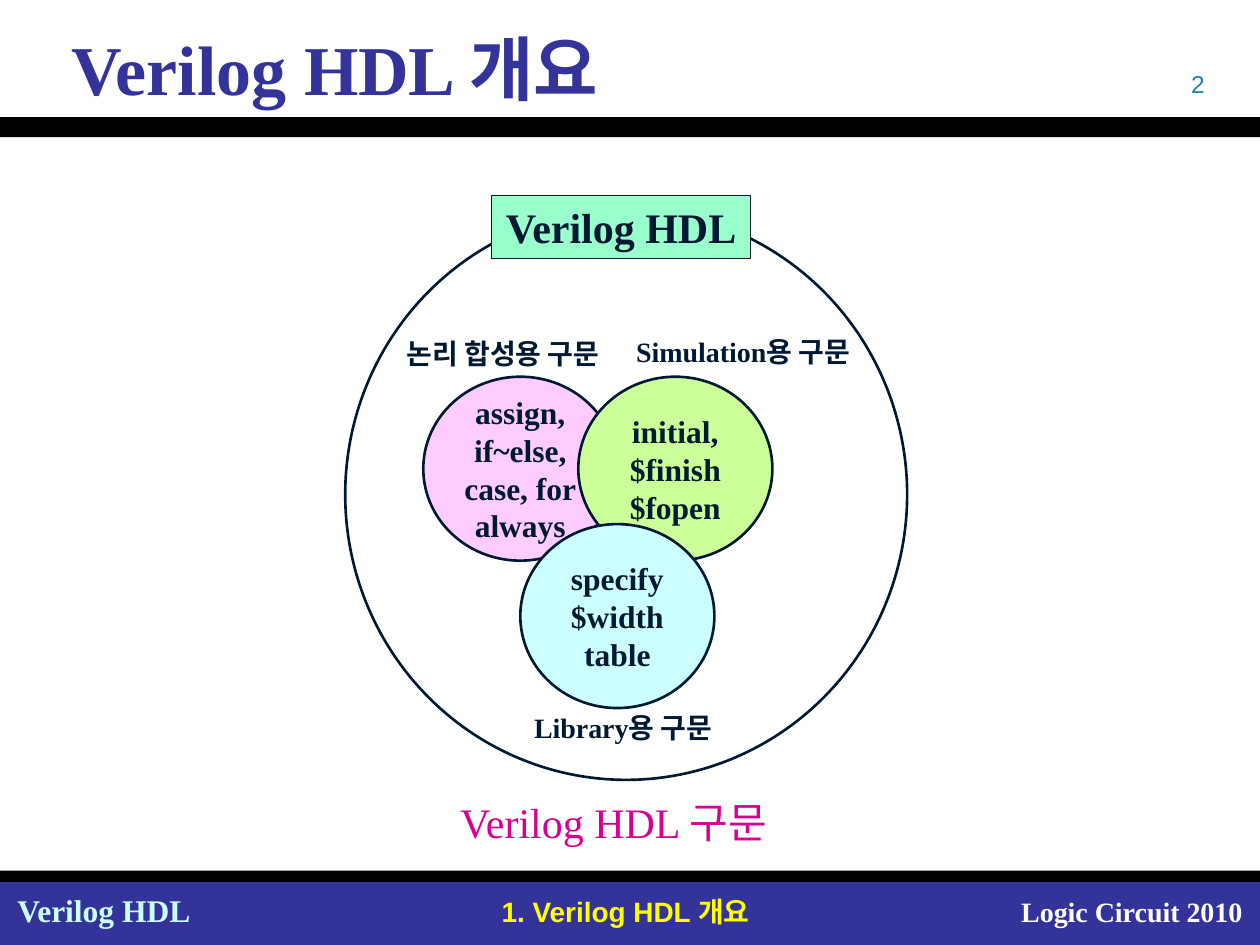
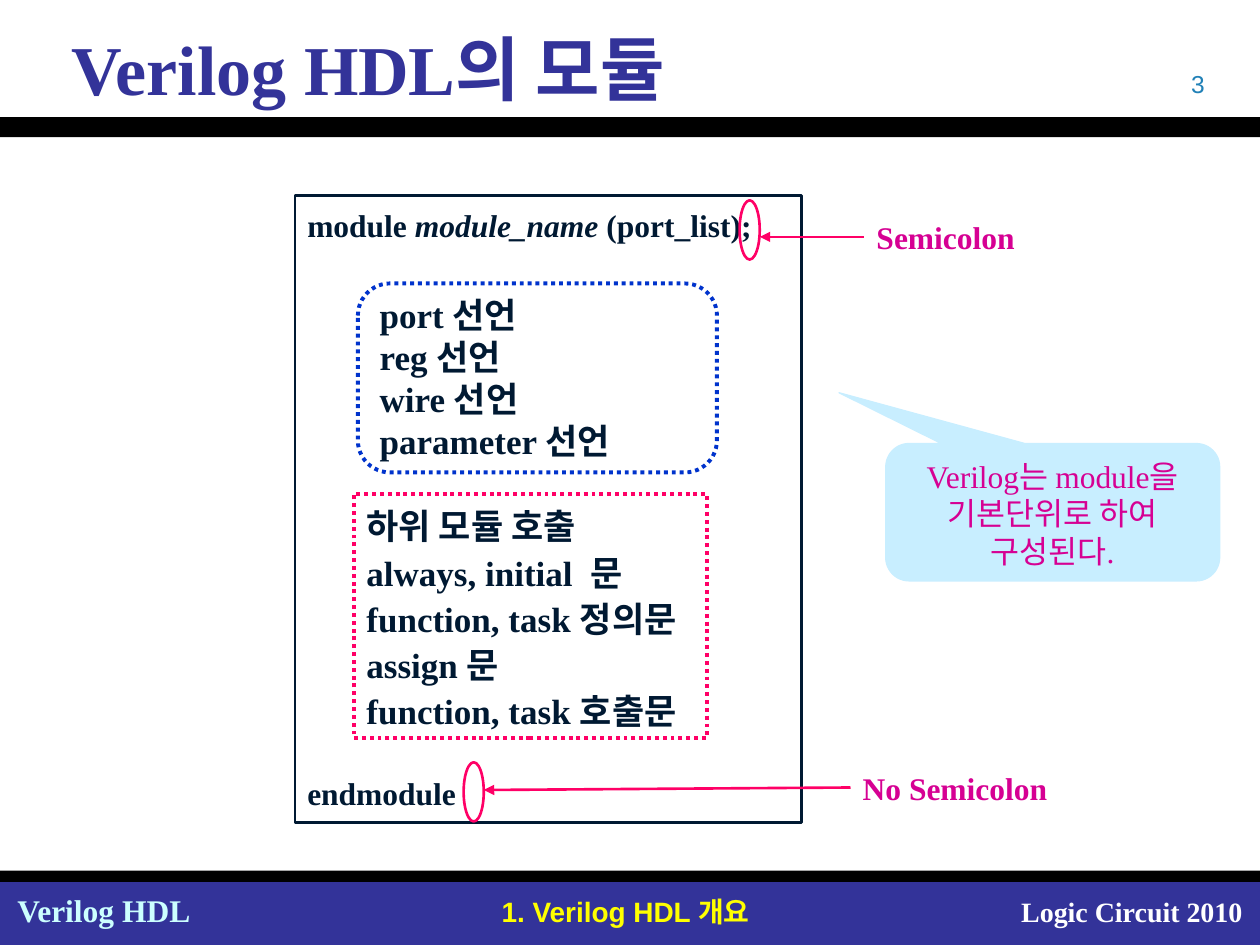
"""Build two slides that introduce the Verilog HDL language."""
from dataclasses import dataclass
from typing import Any, Optional

from lxml.etree import SubElement
from pptx import Presentation
from pptx.dml.color import RGBColor as RGB
from pptx.enum.dml import MSO_LINE
from pptx.enum.shapes import MSO_CONNECTOR, MSO_SHAPE as SHAPE
from pptx.enum.text import MSO_ANCHOR as ANCHOR, MSO_AUTO_SIZE as FIT, PP_ALIGN as ALIGN
from pptx.oxml.ns import qn
from pptx.util import Inches, Pt


@dataclass(frozen=True)
class Theme:
    """Hold the colours, fonts and type sizes."""
    serif: str = "Times New Roman"
    sans: str = "Arial"
    navy: str = "333399"
    ink: str = "001932"
    black: str = "000000"
    white: str = "FFFFFF"
    yellow: str = "FFFF00"
    ice: str = "CCFFFF"
    mint: str = "99FFCC"
    pink: str = "FFCCFF"
    lime: str = "CCFF99"
    sky: str = "C8EEFF"
    magenta: str = "D60093"
    rose: str = "FF0066"
    blue: str = "0033CC"
    number: str = "2181B7"
    title: int = 40
    heading: int = 24
    list: int = 20
    body: int = 18
    label: int = 16
    page: int = 14
    thin: float = 0.75
    medium: float = 1.5
    thick: float = 2.25


T = Theme()


@dataclass(frozen=True)
class Text:
    """Describe lines of text; a line is a string or (words, italic) runs."""
    lines: tuple
    size: int = T.body
    color: str = T.ink
    bold: bool = True
    font: str = T.serif
    align: Any = ALIGN.CENTER
    anchor: Any = ANCHOR.MIDDLE
    wrap: bool = False
    spacing: Optional[float] = None
    gap: float = 0
    inset: float = 0.1
    inset_right: float = 0.1


@dataclass(frozen=True)
class Box:
    """Describe a preset shape, or a text box when it has no kind."""
    at: tuple
    kind: Any = None
    fill: Optional[str] = None
    line: Optional[str] = None
    width: float = T.medium
    dotted: bool = False
    adj: tuple = ()
    text: Optional[Text] = None


@dataclass(frozen=True)
class Arrow:
    """Describe an arrow from a label's left side to a point."""
    tip: tuple
    label: Box


def assign(target: Any, values: dict) -> None:
    """Set attributes from a dict."""
    for name, value in values.items():
        setattr(target, name, value)


def write(tf: Any, text: Text) -> None:
    """Fill a text frame with formatted lines."""
    assign(tf, dict(word_wrap=text.wrap, auto_size=FIT.NONE,
                    vertical_anchor=text.anchor,
                    margin_left=Inches(text.inset),
                    margin_right=Inches(text.inset_right),
                    margin_top=Inches(0.05), margin_bottom=Inches(0.05)))
    for i, line in enumerate(text.lines):
        p = tf.add_paragraph() if i else tf.paragraphs[0]
        assign(p, dict(alignment=text.align, line_spacing=text.spacing))
        if i and text.gap:
            p.space_before = Pt(text.gap)
        for words, italic in [(line, False)] if isinstance(line, str) else line:
            r = p.add_run()
            r.text = words
            assign(r.font, dict(name=text.font, size=Pt(text.size),
                                bold=text.bold, italic=italic))
            r.font.color.rgb = RGB.from_string(text.color)


def draw(s: Any, box: Box) -> Any:
    """Draw a box on a slide."""
    at = [Inches(v) for v in box.at]
    if box.kind is None:
        sp = s.shapes.add_textbox(*at)
    else:
        sp = s.shapes.add_shape(box.kind, *at)
        sp.shadow.inherit = False
        for i, value in enumerate(box.adj):
            sp.adjustments[i] = value
        if box.fill:
            sp.fill.solid()
            sp.fill.fore_color.rgb = RGB.from_string(box.fill)
        else:
            sp.fill.background()
        if box.line:
            sp.line.color.rgb = RGB.from_string(box.line)
            sp.line.width = Pt(box.width)
            if box.dotted:
                sp.line.dash_style = MSO_LINE.ROUND_DOT
        else:
            sp.line.fill.background()
    if box.text:
        write(sp.text_frame, box.text)
    return sp


def draw_arrow(s: Any, arrow: Arrow) -> None:
    """Draw a label and the arrow that leaves it."""
    label = draw(s, arrow.label)
    x, y = (Inches(v) for v in arrow.tip)
    cx = s.shapes.add_connector(MSO_CONNECTOR.STRAIGHT, x, y, label.left, y)
    cx.end_connect(label, 1)
    cx.line.color.rgb = RGB.from_string(T.rose)
    cx.line.width = Pt(T.medium)
    SubElement(cx.line._get_or_add_ln(), qn("a:headEnd"), type="triangle")
    SubElement(cx.element.spPr, qn("a:effectLst"))


def note(at: tuple, words: str, **style: Any) -> Box:
    """Describe a one-line text box."""
    return Box(at, text=Text((words,), **style))


FRAME = (
    Box((0, 7, 10, 0.5), SHAPE.RECTANGLE, T.navy),
    note((7.97, 7.05, 1.99, 0.37), "Logic Circuit 2010", size=T.label,
         color=T.white, align=ALIGN.RIGHT, wrap=True),
    note((3.27, 7.05, 3.39, 0.37), "1. Verilog HDL 개요", size=T.label,
         color=T.yellow, font=T.sans, wrap=True),
    Box((0, 0.93, 10, 0.16), SHAPE.RECTANGLE, T.black),
    Box((0, 6.91, 10, 0.09), SHAPE.RECTANGLE, T.black),
    note((0.04, 7.02, 1.58, 0.4), "Verilog HDL", color=T.ice,
         align=ALIGN.LEFT, wrap=True, inset_right=0.02),
)


def add_frame(s: Any) -> None:
    """Place the shared bands and footers on the slide's layout."""
    for number, box in enumerate(FRAME, 100):
        element = draw(s, box).element
        element.nvSpPr.cNvPr.set("id", str(number))
        s.slide_layout.shapes.element.append(element)


def add_slide(prs: Any, title: str, number: int) -> Any:
    """Add a slide with its title and number."""
    s = prs.slides.add_slide(prs.slide_layouts[5])
    assign(s.shapes.title, dict(left=Inches(0.17), top=Inches(0.21),
                                width=Inches(9.67), height=Inches(0.65)))
    write(s.shapes.title.text_frame,
          Text((title,), size=T.title, color=T.navy, align=ALIGN.LEFT,
               wrap=True, inset=0.4))
    draw(s, note((7.33, 0.5, 2.33, 0.33), str(number), size=T.page,
                 color=T.number, bold=False, font=T.sans, align=ALIGN.RIGHT,
                 anchor=ANCHOR.TOP, wrap=True))
    return s


def syntax_circle(left: float, top: float, fill: str, *lines: str) -> Box:
    """Describe one of the overlapping syntax circles."""
    return Box((left, top, 1.54, 1.46), SHAPE.OVAL, fill, T.ink, text=Text(lines))


OVERVIEW = (
    Box((2.74, 1.66, 4.46, 4.53), SHAPE.OVAL, line=T.ink),
    Box((3.9, 1.55, 2.06, 0.5), SHAPE.RECTANGLE, T.mint, T.ink, T.thin,
        text=Text(("Verilog HDL",), size=T.heading)),
    syntax_circle(3.36, 2.99, T.pink, "assign,", "if~else,", "case, for", "always"),
    note((3.13, 2.62, 1.75, 0.37), "논리 합성용 구문", size=T.label, align=ALIGN.LEFT),
    syntax_circle(4.59, 2.99, T.lime, "initial,", "$finish", "$fopen"),
    syntax_circle(4.13, 4.16, T.ice, "specify", "$width", "table"),
    note((4.95, 2.6, 1.96, 0.37), "Simulation용 구문", size=T.label, align=ALIGN.LEFT),
    note((4.14, 5.59, 1.68, 0.37), "Library용 구문", size=T.label, align=ALIGN.LEFT),
    note((3.49, 6.27, 2.76, 0.5), "Verilog HDL 구문", size=T.heading,
         color=T.magenta, bold=False),
)

HEADER = (("module ", False), ("module_name", True), (" (port_list);", False))
MODULE = (
    Box((2.34, 1.55, 4.02, 4.98), SHAPE.RECTANGLE, line=T.ink,
        text=Text((HEADER, "endmodule"), align=ALIGN.LEFT, gap=303)),
    Box((2.81, 3.92, 2.8, 1.94), SHAPE.RECTANGLE, line=T.rose, width=T.thick,
        dotted=True,
        text=Text(("하위 모듈 호출", "always, initial  문", "function, task 정의문",
                   "assign 문", "function, task 호출문"),
                  size=T.list, align=ALIGN.LEFT, spacing=1.1)),
    Box((2.84, 2.25, 2.85, 1.5), SHAPE.ROUNDED_RECTANGLE, line=T.blue,
        width=T.thick, dotted=True, adj=(0.17,),
        text=Text(("port 선언", "reg 선언", "wire 선언", "parameter 선언"),
                  size=T.list, align=ALIGN.LEFT)),
    Box((5.87, 1.59, 0.16, 0.47), SHAPE.OVAL, line=T.rose),
    Box((3.68, 6.05, 0.16, 0.47), SHAPE.OVAL, line=T.rose),
    Box((7.03, 3.52, 2.65, 1.09), SHAPE.ROUNDED_RECTANGULAR_CALLOUT, T.sky,
        T.sky, T.thin, adj=(-0.64, -0.87, 0.17),
        text=Text(("Verilog는 module을 기본단위로 하여 구성된다.",),
                  color=T.magenta, bold=False, anchor=ANCHOR.TOP, wrap=True)),
)
ARROWS = (
    Arrow((3.84, 6.27), note((6.75, 6.05, 1.66, 0.4), "No Semicolon", color=T.magenta)),
    Arrow((6.03, 1.88), note((6.86, 1.68, 1.29, 0.4), "Semicolon", color=T.magenta)),
)


def main() -> None:
    """Build and save the deck."""
    prs = Presentation()
    assign(prs, dict(slide_width=Inches(10), slide_height=Inches(7.5)))
    overview = add_slide(prs, "Verilog HDL 개요", 2)
    add_frame(overview)
    module = add_slide(prs, "Verilog HDL의 모듈", 3)
    for s, boxes in ((overview, OVERVIEW), (module, MODULE)):
        for box in boxes:
            draw(s, box)
    for arrow in ARROWS:
        draw_arrow(module, arrow)
    prs.save("out.pptx")


if __name__ == "__main__":
    main()
